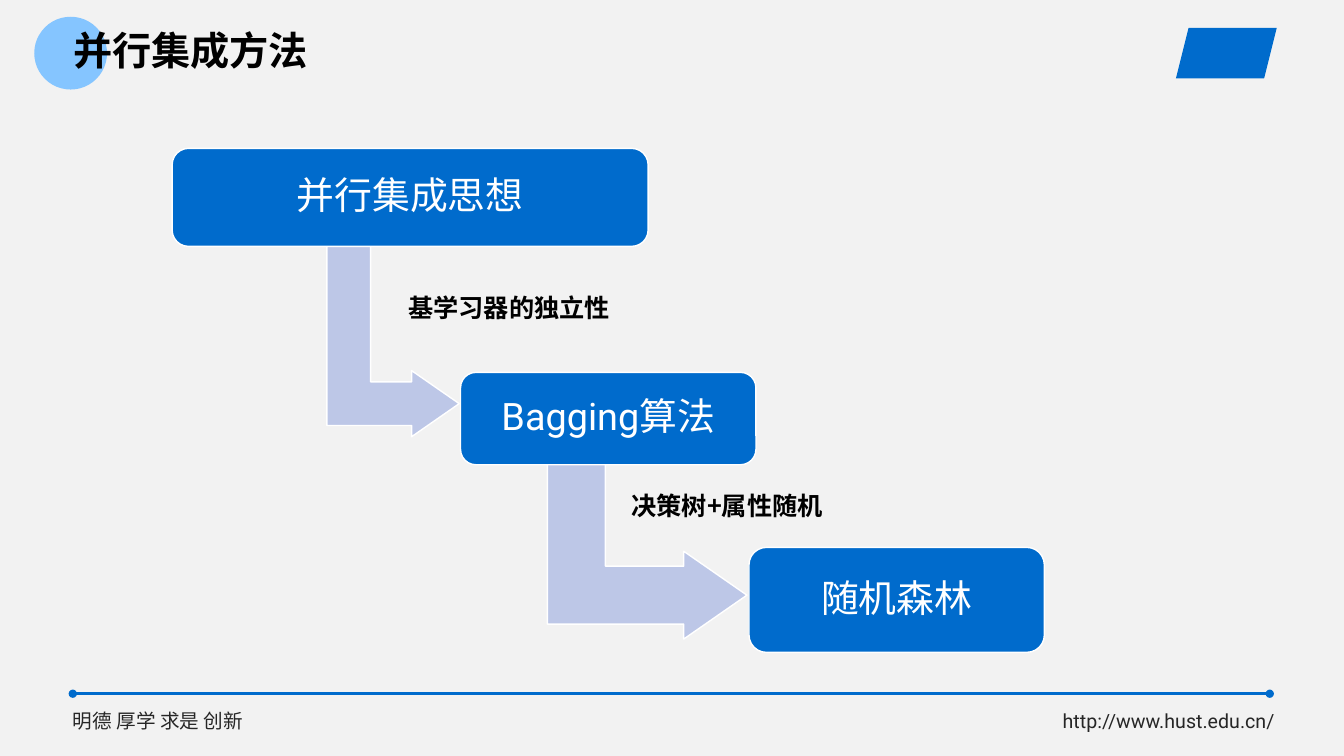
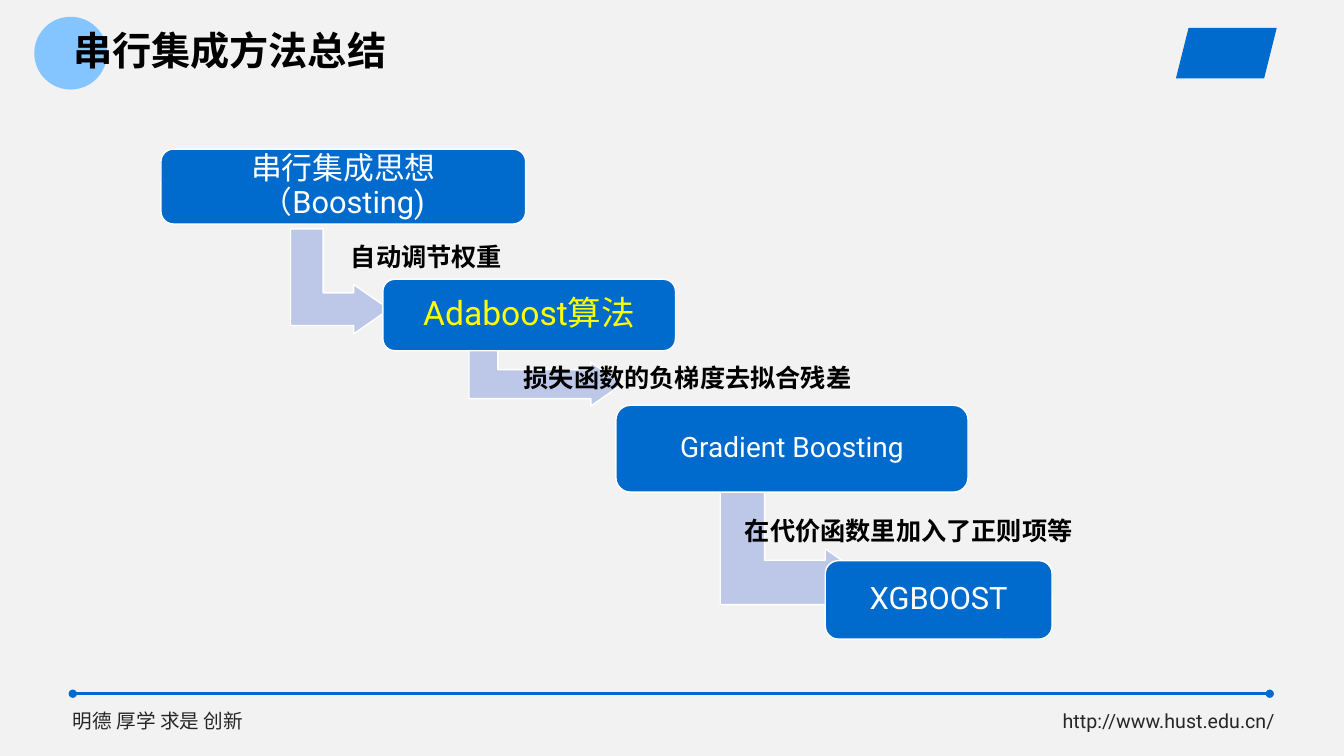
import pptx
import pptx.dml.color
import pptx.enum.shapes
import pptx.enum.text
import pptx.oxml.ns
import pptx.util
from lxml import etree

Pt = pptx.util.Pt
qn = pptx.oxml.ns.qn
SHAPE = pptx.enum.shapes.MSO_SHAPE
ALIGN = pptx.enum.text.PP_ALIGN
ANCHOR = pptx.enum.text.MSO_ANCHOR

COLORS = {
    "background": "F2F2F2",
    "blue": "006BCC",
    "circle": "85C5FF",
    "arrow": "BDC7E7",
    "white": "FFFFFF",
    "black": "000000",
    "footer": "262626",
    "highlight": "FFFF00",
}
LATIN_FONT = "Roboto"
CJK_FONT = "Noto Sans CJK SC"
TITLE_ONLY = 5
LABEL_SIZE = 18

# Boxes: left, top, width, height, text, size, text colour.
# Arrows: left, top, width, height as seen on the slide.
# Labels: left, top, text.
SLIDES = [
    {
        "title": "并行集成方法",
        "boxes": [
            (123, 106, 340, 70, "并行集成思想", 27, "white"),
            (329, 266, 211, 66, "Bagging算法", 27, "white"),
            (535, 391, 211, 75, "随机森林", 27, "white"),
        ],
        "arrows": [(233.5, 174, 94.5, 138), (391, 331, 142.5, 125.5)],
        "labels": [
            (284.5, 205, "基学习器的独立性"),
            (444, 347, "决策树+属性随机"),
        ],
    },
    {
        "title": "串行集成方法总结",
        "boxes": [
            (115, 106.5, 260.5, 53.5, "串行集成思想（Boosting)", 22, "white"),
            (273.5, 199.5, 209, 51, "Adaboost算法", 24, "highlight"),
            (440, 289.5, 251.5, 62, "Gradient Boosting", 20, "white"),
            (589.5, 400.5, 162, 56, "XGBOOST", 22, "white"),
        ],
        "arrows": [
            (207.5, 163.5, 70.5, 75),
            (335, 227.5, 109.5, 62.5),
            (514.5, 344, 109.5, 96),
        ],
        "labels": [
            (243.5, 168.5, "自动调节权重"),
            (367, 255.5, "损失函数的负梯度去拟合残差"),
            (525, 364.5, "在代价函数里加入了正则项等"),
        ],
    },
]


def rgb(name):
    return pptx.dml.color.RGBColor.from_string(COLORS[name])


class Deck:
    """Holds the presentation, its style and the current slide."""

    def __init__(self):
        self.prs = pptx.Presentation()
        self.prs.slide_width, self.prs.slide_height = Pt(960), Pt(540)
        fill = self.prs.slide_master.background.fill
        fill.solid()
        fill.fore_color.rgb = rgb("background")
        self.s = None

    def add_slide(self, title):
        layout = self.prs.slide_layouts[TITLE_ONLY]
        self.s = self.prs.slides.add_slide(layout)
        self.footer()
        self.shape(SHAPE.OVAL, 24.5, 12, 52, 52, "circle")
        self.shape(SHAPE.PARALLELOGRAM, 840, 20, 72, 36, "blue")
        self.title(title)

    def title(self, text):
        sp = self.s.shapes.title
        sp.left, sp.top, sp.width, sp.height = Pt(45), Pt(21), Pt(673), Pt(34)
        self.set_text(sp, text, 28, "black", font=CJK_FONT, bold=True,
                      spacing=0.9)
        sp.text_frame.vertical_anchor = ANCHOR.MIDDLE
        self.s.shapes.element.append(sp.element)  # above the circle

    def footer(self):
        for left, text in ((45, "明德 厚学 求是 创新"),
                           (752, "http://www.hust.edu.cn/")):
            self.text(left, 502.5, 184, 24, text, 14, "footer")
        line = self.s.shapes.add_connector(
            pptx.enum.shapes.MSO_CONNECTOR.STRAIGHT,
            Pt(52), Pt(495.5), Pt(907), Pt(495.5))
        line.line.color.rgb = rgb("blue")
        line.line.width = Pt(1.75)
        sp_pr = line.element.spPr
        for end in ("a:headEnd", "a:tailEnd"):
            etree.SubElement(sp_pr.find(qn("a:ln")), qn(end), type="oval")
        etree.SubElement(sp_pr, qn("a:effectLst"))

    def set_text(self, sp, text, size, color, font=LATIN_FONT, bold=False,
                 align=ALIGN.LEFT, spacing=1.0):
        """Fill a shape with one formatted paragraph."""
        tf = sp.text_frame
        tf.word_wrap = True
        tf.auto_size = pptx.enum.text.MSO_AUTO_SIZE.NONE
        p = tf.paragraphs[0]
        p.text = text
        p.alignment = align
        p.line_spacing = spacing
        p.space_before = Pt(0)
        p.font.name = font
        p.font.size = Pt(size)
        p.font.bold = bold
        p.font.color.rgb = rgb(color)
        for props in sp.element.iter(qn("a:defRPr")):
            etree.SubElement(props, qn("a:ea"), typeface=CJK_FONT)

    def text(self, left, top, width, height, text, size, color, **style):
        sp = self.s.shapes.add_textbox(Pt(left), Pt(top), Pt(width), Pt(height))
        self.set_text(sp, text, size, color, **style)

    def shape(self, kind, left, top, width, height, fill, line=None):
        sp = self.s.shapes.add_shape(
            kind, Pt(left), Pt(top), Pt(width), Pt(height))
        sp.shadow.inherit = False
        sp.fill.solid()
        sp.fill.fore_color.rgb = rgb(fill)
        if line:
            sp.line.color.rgb = rgb(line)
            sp.line.width = Pt(1)
        else:
            sp.line.fill.background()
        return sp

    def box(self, left, top, width, height, text, size, color):
        sp = self.shape(SHAPE.ROUNDED_RECTANGLE, left, top, width, height,
                        "blue", "white")
        self.set_text(sp, text, size, color, align=ALIGN.CENTER, spacing=0.9)
        tf = sp.text_frame
        tf.vertical_anchor = ANCHOR.MIDDLE
        tf.margin_left = tf.margin_right = Pt(9)
        tf.margin_top = tf.margin_bottom = Pt(0)

    def arrow(self, left, top, width, height):
        """Draw a down-then-right arrow that covers the given area."""
        shift = (width - height) / 2
        sp = self.shape(SHAPE.BENT_UP_ARROW, left + shift, top - shift,
                        height, width, "arrow", "white")
        sp.rotation = 90
        for i, value in enumerate((0.33, 0.25, 0.36)):
            sp.adjustments[i] = value

    def label(self, left, top, text):
        width = LABEL_SIZE * len(text) + 24
        self.text(left, top, width, 29, text, LABEL_SIZE, "black",
                  font=CJK_FONT, bold=True)


def main():
    deck = Deck()
    for content in SLIDES:
        deck.add_slide(content["title"])
        arrows = content["arrows"]
        for i, box in enumerate(content["boxes"]):
            if i < len(arrows):
                deck.arrow(*arrows[i])
            deck.box(*box)
        for label in content["labels"]:
            deck.label(*label)
    deck.prs.save("out.pptx")


if __name__ == "__main__":
    main()
